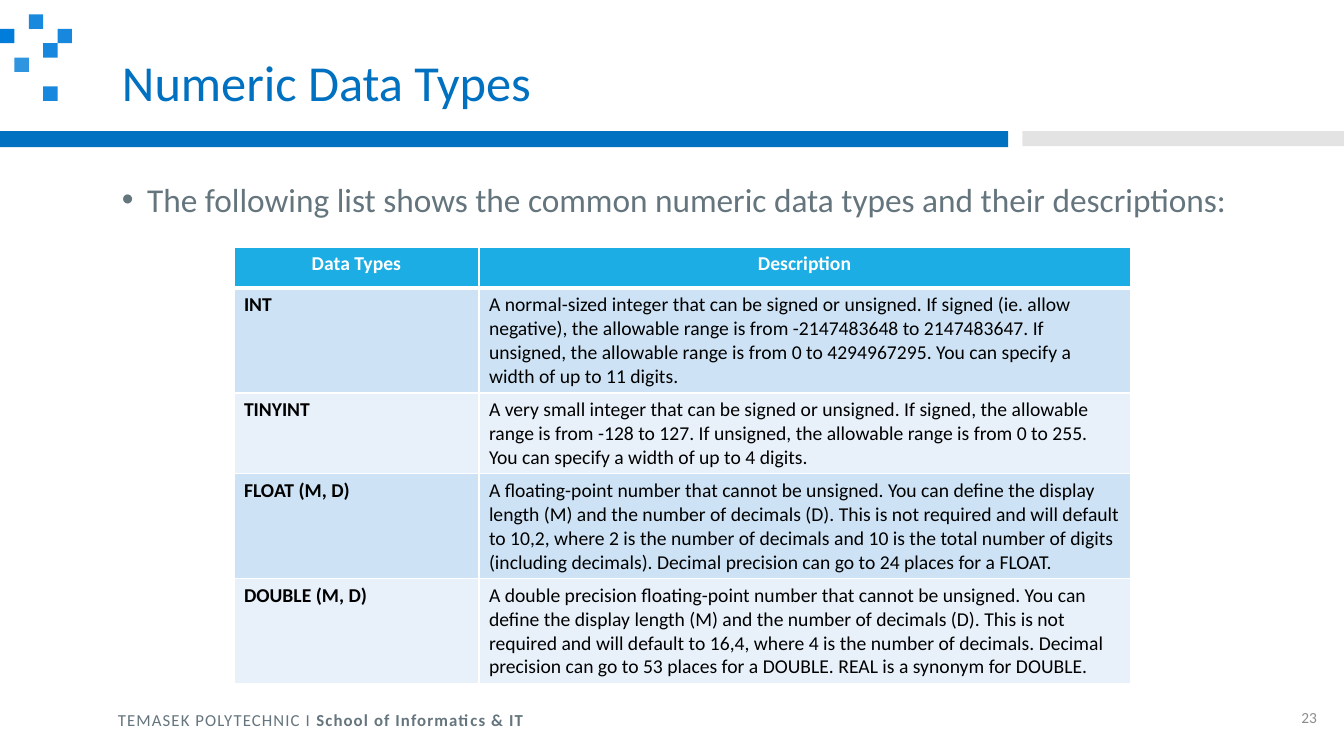
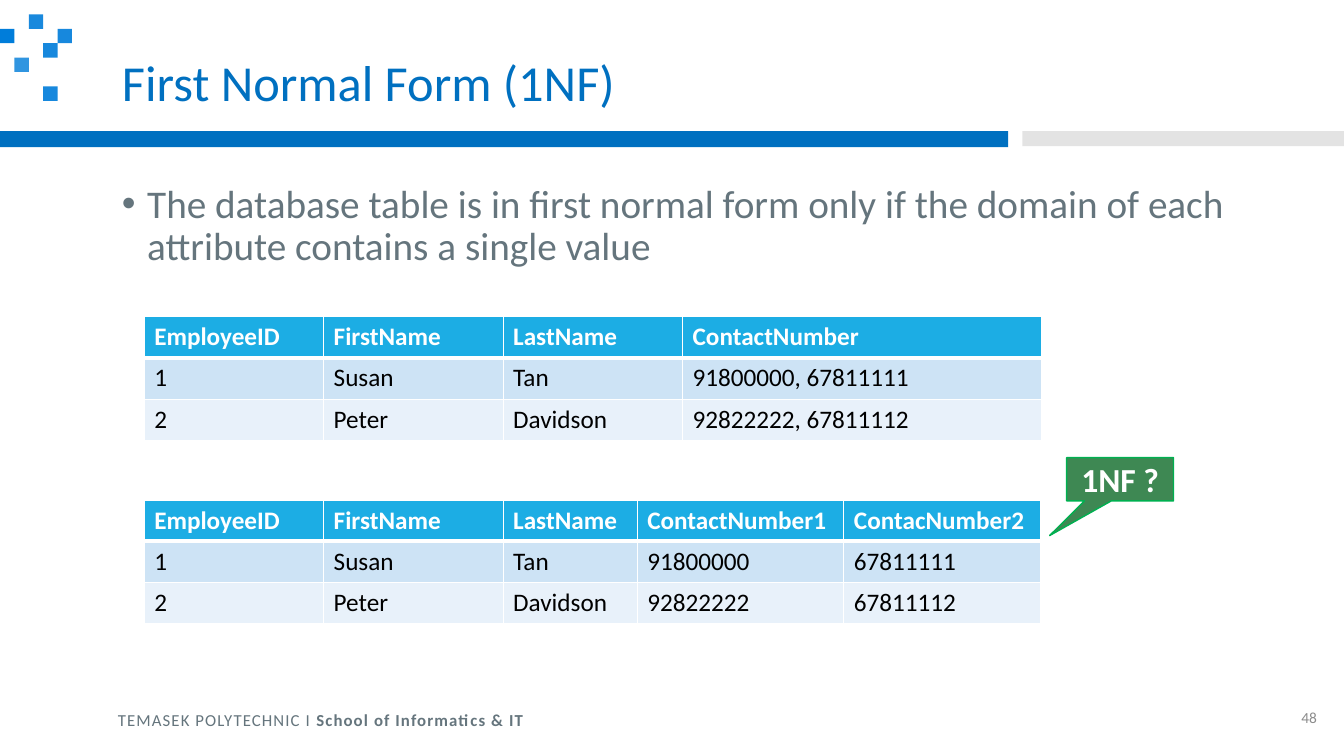
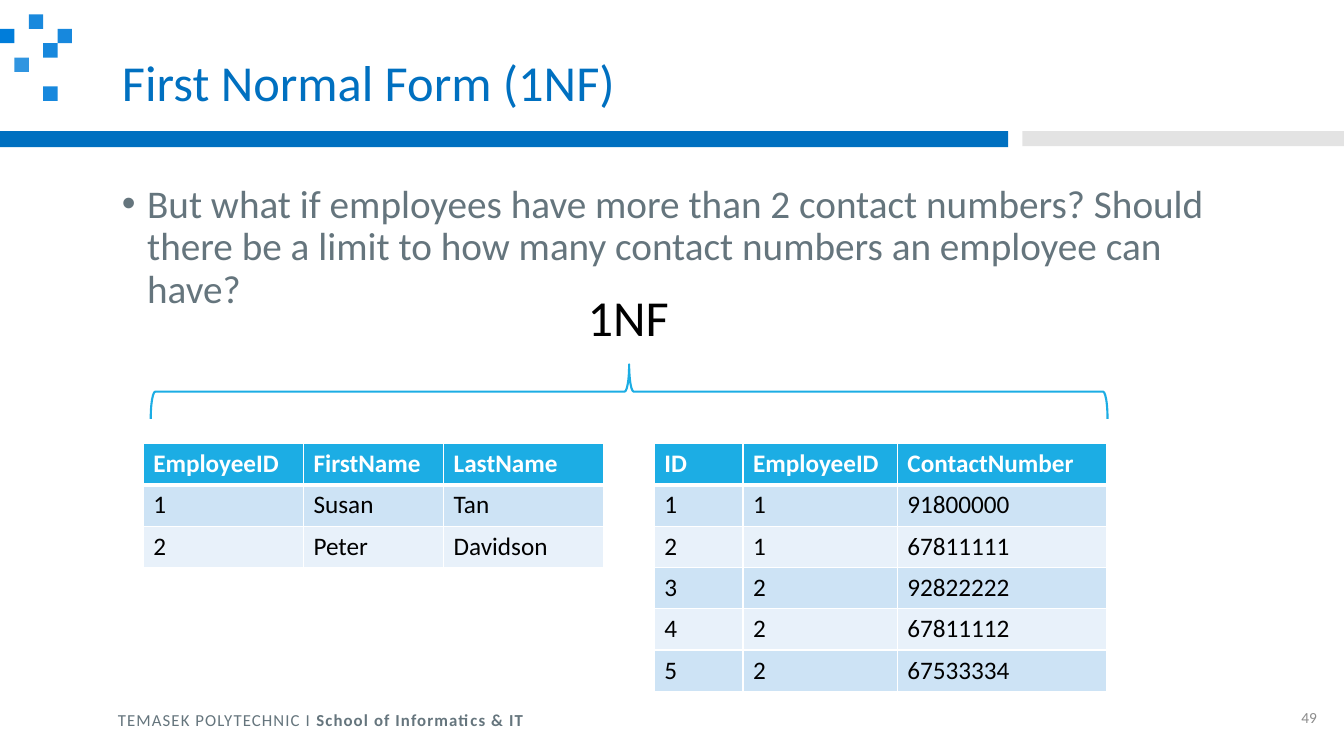
import pptx
import pptx.util
import pptx.dml.color
import pptx.enum.shapes
import pptx.enum.text
from lxml import etree
from pptx.util import Inches

RGB = pptx.dml.color.RGBColor
SHAPE = pptx.enum.shapes.MSO_SHAPE
ALIGN = pptx.enum.text.PP_ALIGN
ANCHOR = pptx.enum.text.MSO_ANCHOR
AUTOSIZE = pptx.enum.text.MSO_AUTO_SIZE

# Theme
FONT = "Calibri"
BLUE = RGB(0x00, 0x70, 0xC0)
SQUARE_BLUE = RGB(0x00, 0x7D, 0xDA)
SILVER = RGB(0xC8, 0xC8, 0xC8)
SLATE = RGB(0x65, 0x75, 0x7D)
PAGE_GREY = RGB(0x8C, 0x8C, 0x8C)
SKY = RGB(0x1C, 0xAD, 0xE4)
BAND_DARK = RGB(0xCD, 0xE3, 0xF5)
BAND_LIGHT = RGB(0xE8, 0xF1, 0xFA)
GREEN = RGB(0x3E, 0x88, 0x53)
GREEN_LINE = RGB(0x00, 0xB0, 0x50)
WHITE = RGB(0xFF, 0xFF, 0xFF)
BLACK = RGB(0x00, 0x00, 0x00)

TITLE_BOX = (1.11, 0.4, 11.3, 0.9)
BODY_BOX = (1.11, 1.78, 11.3, 5.02)
ROW = 0.41
SQUARE = 1 / 7  # the corner squares sit on a grid of seven per inch
# column, row, opacity
SQUARES = [(2, 1, 90), (1, 4, 81), (0, 2, 100), (4, 2, 91), (3, 3, 91), (3, 6, 91)]


def qn(tag):
    return pptx.oxml.ns.qn(tag)


def inches(box):
    return [Inches(v) for v in box]


def place(sp, box):
    sp.left, sp.top, sp.width, sp.height = inches(box)


# Text
def write(p, text, size=18, color=BLACK, bold=False, align=ALIGN.LEFT,
          line=1.0, tracking=None):
    p.alignment = align
    p.line_spacing = line
    p.space_before = pptx.util.Pt(0)
    r = p.add_run()
    r.text = text
    r.font.name = FONT
    r.font.size = pptx.util.Pt(size)
    r.font.bold = bold
    r.font.color.rgb = color
    if tracking:
        r.font._element.set("spc", str(tracking))


def add_bullet(p, indent=0.25):
    pPr = p._p.get_or_add_pPr()
    pPr.set("marL", str(Inches(indent)))
    pPr.set("indent", str(-Inches(indent)))
    etree.SubElement(pPr, qn("a:buFont")).set("typeface", "Arial")
    etree.SubElement(pPr, qn("a:buChar")).set("char", "•")


def add_text(s, box, text, wrap=True, anchor=ANCHOR.TOP, **fmt):
    sp = s.shapes.add_textbox(*inches(box))
    tf = sp.text_frame
    tf.word_wrap = wrap
    tf.vertical_anchor = anchor
    write(tf.paragraphs[0], text, **fmt)
    return sp


# Shapes
def add_shape(s, kind, box, fill=None, opacity=100, line=None, weight=1):
    sp = s.shapes.add_shape(kind, *inches(box))
    sp.shadow.inherit = False
    if fill is None:
        sp.fill.background()
    else:
        sp.fill.solid()
        sp.fill.fore_color.rgb = fill
        if opacity < 100:
            color = sp.element.spPr.find(".//" + qn("a:srgbClr"))
            etree.SubElement(color, qn("a:alpha")).set("val", str(opacity * 1000))
    if line is None:
        sp.line.fill.background()
    else:
        sp.line.color.rgb = line
        sp.line.width = pptx.util.Pt(weight)
    return sp


# Tables
def add_border(cell, side, weight):
    ln = etree.SubElement(cell._tc.get_or_add_tcPr(), qn("a:ln" + side))
    ln.set("w", str(pptx.util.Pt(weight)))
    fill = etree.SubElement(ln, qn("a:solidFill"))
    etree.SubElement(fill, qn("a:srgbClr")).set("val", str(WHITE))


def add_table(s, left, top, widths, rows, heights=None, size=18,
              header_align=ALIGN.LEFT, bold_first=False):
    heights = heights or [ROW] * len(rows)
    box = (left, top, sum(widths), sum(heights))
    table = s.shapes.add_table(len(rows), len(widths), *inches(box)).table
    for col, width in zip(table.columns, widths):
        col.width = Inches(width)
    for i, (row, height) in enumerate(zip(rows, heights)):
        table.rows[i].height = Inches(height)
        header = i == 0
        for j, text in enumerate(row):
            cell = table.cell(i, j)
            for side in "LRTB":
                thick = (header and side == "B") or (i == 1 and side == "T")
                add_border(cell, side, 3 if thick else 1)
            cell.fill.solid()
            cell.fill.fore_color.rgb = (
                SKY if header else BAND_DARK if i % 2 else BAND_LIGHT)
            write(cell.text_frame.paragraphs[0], text, size=size,
                  color=WHITE if header else BLACK,
                  bold=header or (bold_first and j == 0),
                  align=header_align if header else ALIGN.LEFT)


# Shared slide frame
def prepare_layout(layout):
    for ph in list(layout.placeholders):
        if ph.placeholder_format.idx >= 10:
            ph.element.getparent().remove(ph.element)
    title, body = layout.placeholders
    place(title, TITLE_BOX)
    place(body, BODY_BOX)


def add_frame(s):
    """Draw bands, footer and squares, then hand them to the layout."""
    footer = add_text(s, (1.07, 6.99, 11.58, 0.3), "TEMASEK POLYTECHNIC I ",
                      size=12, color=SLATE, tracking=80)
    write(footer.text_frame.paragraphs[0], "School of Informatics & IT",
          size=12, color=SLATE, bold=True, tracking=80)
    frame = [
        add_shape(s, SHAPE.RECTANGLE, (0, 1.3, 10, 0.16), BLUE),
        add_shape(s, SHAPE.RECTANGLE, (10.14, 1.3, 3.2, 0.15), SILVER, 50),
        footer,
    ]
    for col, row, opacity in SQUARES:
        box = (col * SQUARE, row * SQUARE, SQUARE, SQUARE)
        frame.append(add_shape(s, SHAPE.RECTANGLE, box, SQUARE_BLUE, opacity))
    for sp in frame:
        s.slide_layout.shapes.element.append(sp.element)


def add_slide(prs, title, bullet, number, size=28, line=0.9, body_box=BODY_BOX):
    s = prs.slides.add_slide(prs.slide_layouts[1])
    tf = s.shapes.title.text_frame
    tf.vertical_anchor = ANCHOR.MIDDLE
    tf.auto_size = AUTOSIZE.NONE
    write(tf.paragraphs[0], title, size=36, color=BLUE, line=0.9)

    body = s.placeholders[1]
    place(body, body_box)
    tf = body.text_frame
    tf.auto_size = AUTOSIZE.NONE
    add_bullet(tf.paragraphs[0])
    write(tf.paragraphs[0], bullet, size=size, color=SLATE, line=line)

    add_text(s, (12.65, 6.95, 0.51, 0.34), str(number), anchor=ANCHOR.MIDDLE,
             size=11, color=PAGE_GREY, align=ALIGN.RIGHT)
    return s


# Slides
def numeric_types_slide(prs):
    s = add_slide(
        prs, "Numeric Data Types",
        "The following list shows the common numeric data types and their descriptions:",
        23, size=23.8, line=1.0, body_box=(1.11, 1.73, 11.3, 0.63))
    rows = [
        ("Data Types", "Description"),
        ("INT",
         "A normal-sized integer that can be signed or unsigned. If signed (ie. allow "
         "negative), the allowable range is from -2147483648 to 2147483647. If unsigned, "
         "the allowable range is from 0 to 4294967295. You can specify a width of up to "
         "11 digits."),
        ("TINYINT",
         "A very small integer that can be signed or unsigned. If signed, the allowable "
         "range is from -128 to 127. If unsigned, the allowable range is from 0 to 255. "
         "You can specify a width of up to 4 digits."),
        ("FLOAT (M, D)",
         "A floating-point number that cannot be unsigned. You can define the display "
         "length (M) and the number of decimals (D). This is not required and will "
         "default to 10,2, where 2 is the number of decimals and 10 is the total number "
         "of digits (including decimals). Decimal precision can go to 24 places for a "
         "FLOAT."),
        ("DOUBLE (M, D)",
         "A double precision floating-point number that cannot be unsigned. You can "
         "define the display length (M) and the number of decimals (D). This is not "
         "required and will default to 16,4, where 4 is the number of decimals. Decimal "
         "precision can go to 53 places for a DOUBLE. REAL is a synonym for DOUBLE."),
    ]
    add_table(s, 2.32, 2.45, [2.43, 6.46], rows, [ROW, 1.04, 0.8, 1.04, 1.04],
              size=14, header_align=ALIGN.CENTER, bold_first=True)
    return s


def single_value_slide(prs):
    s = add_slide(
        prs, "First Normal Form (1NF)",
        "The database table is in first normal form only if the domain of each "
        "attribute contains a single value", 48)
    add_table(s, 1.43, 3.14, [1.78, 1.78, 1.78, 3.56], [
        ("EmployeeID", "FirstName", "LastName", "ContactNumber"),
        ("1", "Susan", "Tan", "91800000, 67811111"),
        ("2", "Peter", "Davidson", "92822222, 67811112"),
    ])
    add_table(s, 1.43, 4.96, [1.78, 1.78, 1.33, 2.05, 1.95], [
        ("EmployeeID", "FirstName", "LastName", "ContactNumber1", "ContacNumber2"),
        ("1", "Susan", "Tan", "91800000", "67811111"),
        ("2", "Peter", "Davidson", "92822222", "67811112"),
    ])
    callout = add_shape(s, SHAPE.RECTANGULAR_CALLOUT, (10.58, 4.54, 1.06, 0.43),
                        GREEN, line=GREEN_LINE)
    callout.adjustments[0] = -0.66
    callout.adjustments[1] = 1.3
    tf = callout.text_frame
    tf.vertical_anchor = ANCHOR.MIDDLE
    write(tf.paragraphs[0], "1NF ?", size=24, color=WHITE, bold=True,
          align=ALIGN.CENTER)


def split_tables_slide(prs):
    s = add_slide(
        prs, "First Normal Form (1NF)",
        "But what if employees have more than 2 contact numbers? Should there be a "
        "limit to how many contact numbers an employee can have?", 49)
    add_table(s, 1.42, 4.4, [1.59, 1.39, 1.59], [
        ("EmployeeID", "FirstName", "LastName"),
        ("1", "Susan", "Tan"),
        ("2", "Peter", "Davidson"),
    ])
    add_table(s, 6.49, 4.4, [0.88, 1.53, 2.08], [
        ("ID", "EmployeeID", "ContactNumber"),
        ("1", "1", "91800000"),
        ("2", "1", "67811111"),
        ("3", "2", "92822222"),
        ("4", "2", "67811112"),
        ("5", "2", "67533334"),
    ])
    brace = add_shape(s, SHAPE.RIGHT_BRACE, (5.97, -0.86, 0.54, 9.49),
                      line=SKY, weight=1.5)
    brace.rotation = 270
    add_text(s, (5.73, 2.79, 1.02, 0.71), "1NF", wrap=False, size=36)


def main():
    prs = pptx.Presentation()
    prs.slide_width, prs.slide_height = Inches(13.33), Inches(7.5)
    prepare_layout(prs.slide_layouts[1])
    add_frame(numeric_types_slide(prs))
    single_value_slide(prs)
    split_tables_slide(prs)
    prs.save("out.pptx")


if __name__ == "__main__":
    main()
